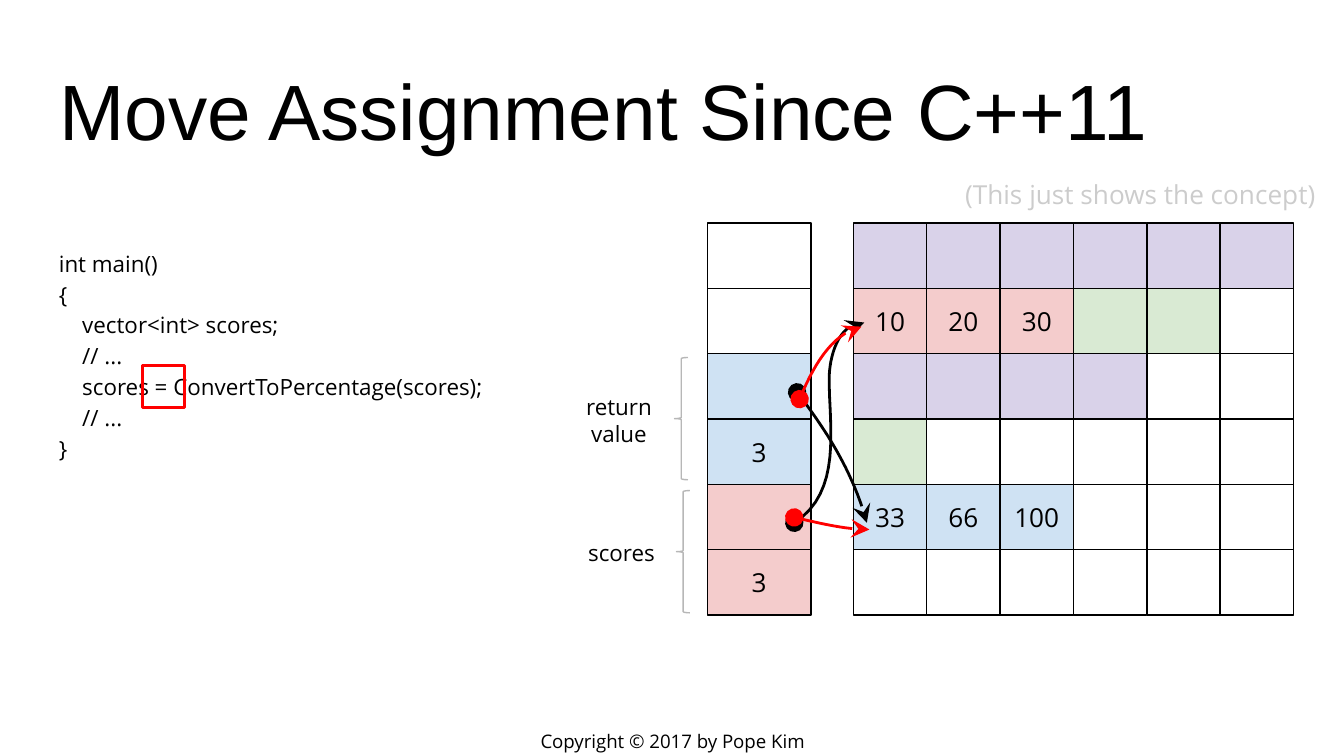
from lxml import etree
from pptx import Presentation
from pptx import util as u
from pptx.dml.color import RGBColor
from pptx.enum import shapes, text
from pptx.oxml import ns

Pt = u.Pt
ALIGN = text.PP_ALIGN
ANCHOR = text.MSO_ANCHOR
SHAPE = shapes.MSO_SHAPE


def paint(shape, fill, line, width=0.75):
    shape.shadow.inherit = False
    if fill:
        shape.fill.solid()
        shape.fill.fore_color.rgb = RGBColor.from_string(fill)
    else:
        shape.fill.background()
    shape.line.color.rgb = RGBColor.from_string(line)
    shape.line.width = Pt(width)


def write(shape, content, size, align=ALIGN.CENTER, anchor=ANCHOR.MIDDLE, color="000000", font="Open Sans"):
    frame = shape.text_frame
    frame.text = content
    frame.word_wrap = True
    frame.auto_size = text.MSO_AUTO_SIZE.NONE
    frame.vertical_anchor = anchor
    frame.margin_left = frame.margin_right = frame.margin_top = frame.margin_bottom = Pt(7.2)
    for paragraph in frame.paragraphs:
        paragraph.alignment = align
        for run in paragraph.runs:
            run.font.size = Pt(size)
            run.font.name = font
            run.font.color.rgb = RGBColor.from_string(color)


presentation = Presentation()
presentation.slide_width = Pt(720)
presentation.slide_height = Pt(405)
slide = presentation.slides.add_slide(presentation.slide_layouts[5])

title = slide.shapes.title
title.left, title.top, title.width, title.height = Pt(24.5), Pt(25.2), Pt(671), Pt(65.5)
write(title, "Move Assignment Since C++11", 42, ALIGN.LEFT, ANCHOR.BOTTOM, font="Arial")

code_lines = [
    (0, "int main()"),
    (0, "{"),
    (1, "vector<int> scores;"),
    (1, "// ..."),
    (1, "scores = ConvertToPercentage(scores);"),
    (1, "// ..."),
    (0, "}"),
]
code = slide.shapes.add_textbox(Pt(24.5), Pt(124.5), Pt(255), Pt(139))
write(code, "\n".join(line for depth, line in code_lines), 12, ALIGN.LEFT, ANCHOR.TOP)
for paragraph, (depth, line) in zip(code.text_frame.paragraphs, code_lines):
    paragraph.line_spacing = 1.15
    paragraph._p.get_or_add_pPr().set("marL", str(Pt(12.5 * depth)))

PURPLE, GREEN, PINK, BLUE = "D9D2E9", "D9EAD3", "F4CCCC", "CFE2F3"
GRID_TOP, ROW_HEIGHT = 119.5, 35

heap = [
    [(PURPLE, "")] * 6,
    [(PINK, "10"), (PINK, "20"), (PINK, "30"), (GREEN, ""), (GREEN, ""), (None, "")],
    [(PURPLE, "")] * 4 + [(None, "")] * 2,
    [(GREEN, "")] + [(None, "")] * 5,
    [(BLUE, "33"), (BLUE, "66"), (BLUE, "100")] + [(None, "")] * 3,
    [(None, "")] * 6,
]
stack = [[cell] for cell in [(None, ""), (None, ""), (BLUE, ""), (BLUE, "3"), (PINK, ""), (PINK, "3")]]

for rows, left, cell_width in [(heap, 457.2, 39.3), (stack, 379, 55.5)]:
    for row, cells in enumerate(rows):
        for column, (fill, value) in enumerate(cells):
            cell = slide.shapes.add_shape(
                SHAPE.RECTANGLE, Pt(left + column * cell_width), Pt(GRID_TOP + row * ROW_HEIGHT),
                Pt(cell_width), Pt(ROW_HEIGHT))
            paint(cell, fill, "000000")
            if value:
                write(cell, value, 14)

for label, label_left, label_top, brace_left, brace_top in [
    ("return\nvalue", 301, 211.8, 361.4, 191.5),
    ("scores", 302.4, 283, 362.4, 262.8),
]:
    label_box = slide.shapes.add_textbox(Pt(label_left), Pt(label_top), Pt(61.2), Pt(26))
    write(label_box, label, 12)
    brace = slide.shapes.add_shape(SHAPE.LEFT_BRACE, Pt(brace_left), Pt(brace_top), Pt(7.2), Pt(65.5))
    paint(brace, None, "B7B7B7")

highlight = slide.shapes.add_shape(SHAPE.RECTANGLE, Pt(76.3), Pt(195.8), Pt(22.5), Pt(22.5))
paint(highlight, None, "FF0000", 1.5)

STEPS = 16
pointers = [
    ("000000", [(427, 210.2), (441.4, 229), (456.5, 251.3), (464.4, 280.1)]),
    ("000000", [(425.5, 280.1), (451.4, 263.5), (444.2, 229), (444.2, 203),
                (444.2, 192.2), (448.6, 172.8), (463, 172.8)]),
    ("FF0000", [(428.4, 213.8), (434.9, 198), (445, 178.6), (461.5, 175)]),
    ("FF0000", [(425.5, 277.2), (438.5, 280.1), (452.2, 283.7), (465.8, 283.7)]),
]
for color, controls in pointers:
    points = []
    for start in range(0, len(controls) - 1, 3):
        for step in range(1, STEPS + 1):
            t = step / STEPS
            weights = [(1 - t) ** 3, 3 * t * (1 - t) ** 2, 3 * t ** 2 * (1 - t), t ** 3]
            curve = list(zip(weights, controls[start:start + 4]))
            points.append(tuple(Pt(sum(weight * point[axis] for weight, point in curve)) for axis in (0, 1)))
    builder = slide.shapes.build_freeform(Pt(controls[0][0]), Pt(controls[0][1]))
    builder.add_line_segments(points, close=False)
    pointer = builder.convert_to_shape()
    paint(pointer, None, color, 1.5)
    outline = pointer.line._get_or_add_ln()
    for tag, kind in [("a:headEnd", "oval"), ("a:tailEnd", "stealth")]:
        etree.SubElement(outline, ns.qn(tag), type=kind, w="lg", len="lg")

note = slide.shapes.add_textbox(Pt(379), Pt(90), Pt(333), Pt(28))
write(note, "(This just shows the concept)", 14, ALIGN.RIGHT, color="CCCCCC")

footer = slide.shapes.add_textbox(Pt(271.4), Pt(389.5), Pt(177.8), Pt(15))
write(footer, "Copyright © 2017 by Pope Kim", 10)

presentation.save("out.pptx")
